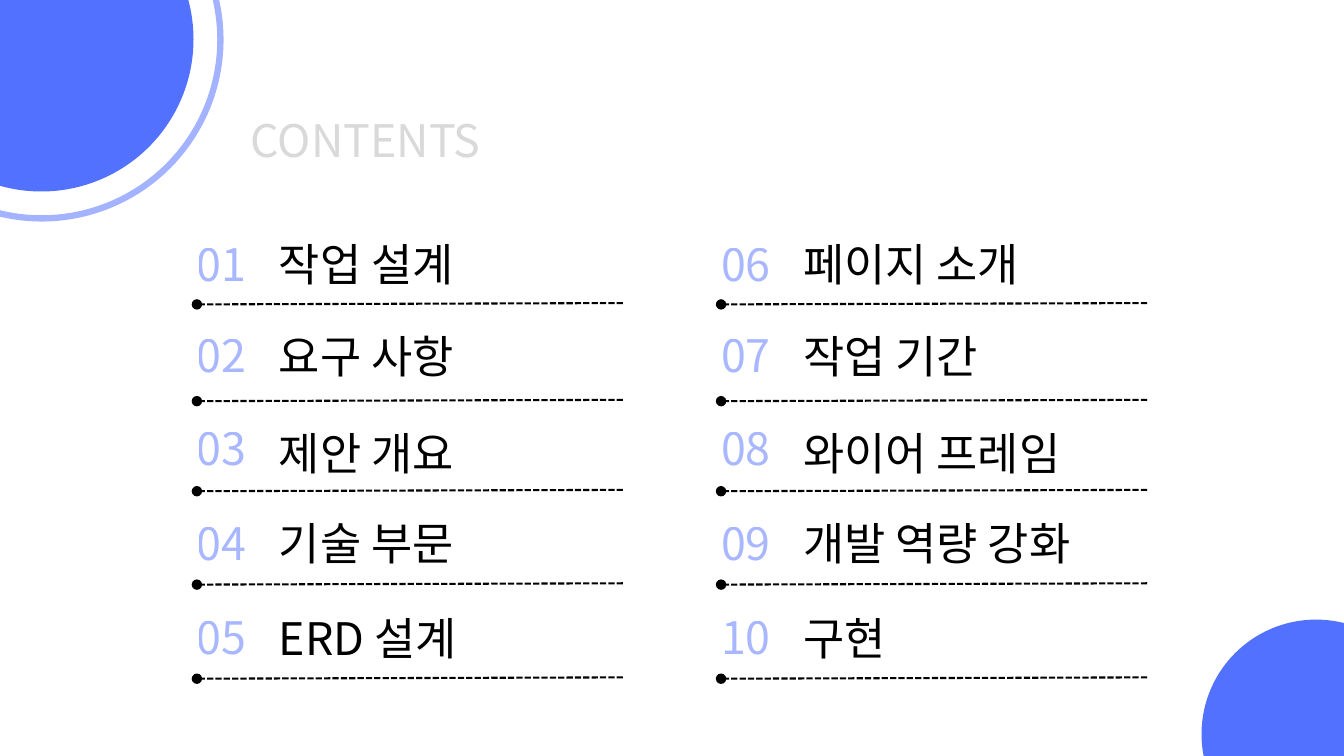
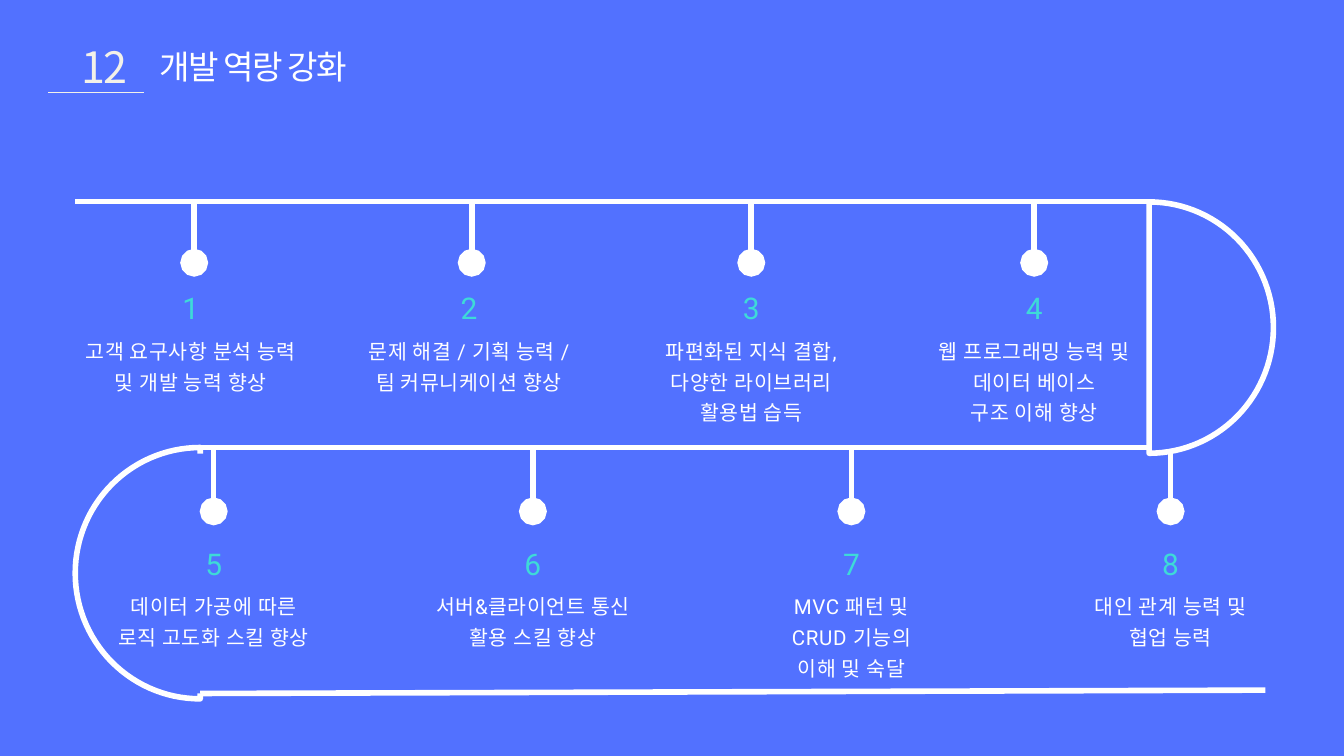
"""Builds the contents slide and the skill roadmap slide."""
from itertools import cycle
from math import cos, pi, sin

from lxml.etree import SubElement
from pptx import Presentation
from pptx.dml.color import RGBColor
from pptx.enum.dml import MSO_LINE
from pptx.enum.shapes import MSO_CONNECTOR, MSO_SHAPE
from pptx.enum.text import MSO_ANCHOR, MSO_AUTO_SIZE, PP_ALIGN
from pptx.oxml.ns import qn
from pptx.util import Inches, Pt

COLORS = {
    "blue": "5271FF",
    "white": "FFFFFF",
    "black": "000000",
    "gray": "D9D9D9",
    "cream": "F3F1E9",
    "mint": "3EDAD8",
}
RGB = {name: RGBColor.from_string(value) for name, value in COLORS.items()}
NOTO, CALIBRI, ROBOTO = "Noto Sans CJK KR", "Calibri", "Roboto"


def write(slide, text, *, at, size, leading, color, fonts, tracking=0,
          align=PP_ALIGN.LEFT, alpha=None, holder=None):
    box = holder or slide.shapes.add_textbox(0, 0, 0, 0)
    box.left, box.top, box.width, box.height = map(Inches, at)
    frame = box.text_frame
    frame.word_wrap = True
    frame.auto_size = MSO_AUTO_SIZE.SHAPE_TO_FIT_TEXT
    frame.vertical_anchor = MSO_ANCHOR.TOP
    frame.margin_left = frame.margin_right = 0
    frame.margin_top = frame.margin_bottom = 0
    frame.text = text
    for paragraph, font in zip(frame.paragraphs, cycle(fonts)):
        paragraph.alignment = align
        paragraph.line_spacing = Pt(leading)
        paragraph.space_before = Pt(0)
        run = paragraph.runs[0]
        run.font.name, run.font.size = font, Pt(size)
        run.font.color.rgb = RGB[color]
        properties = run._r.get_or_add_rPr()
        if tracking:
            properties.set("spc", str(round(tracking * 100)))
        if alpha:
            tint = properties.find(".//" + qn("a:srgbClr"))
            SubElement(tint, qn("a:alpha"), val=str(alpha * 1000))


def rule(slide, x1, y1, x2, y2, *, color, width, dash=None, dot=False):
    line = slide.shapes.add_connector(
        MSO_CONNECTOR.STRAIGHT, *map(Inches, (x1, y1, x2, y2)))
    line.line.color.rgb = RGB[color]
    line.line.width = Pt(width)
    if dash:
        line.line.dash_style = dash
    properties = line._element.spPr
    if dot:
        SubElement(properties.find(qn("a:ln")), qn("a:tailEnd"),
                   type="oval", w="lg", len="lg")
    SubElement(properties, qn("a:effectLst"))


deck = Presentation()
deck.slide_width, deck.slide_height = Inches(20), Inches(11.25)
title_only = deck.slide_layouts[5]

contents = deck.slides.add_slide(title_only)
heading = {"size": 48, "leading": 67.2}
write(contents, "CONTENTS", at=(3.73, 1.54, 6.27, 0.91), color="gray",
      fonts=[NOTO], holder=contents.shapes.title, **heading)

for left, top, diameter in [(17.88, 9.22, 3.41), (-1.65, -1.68, 4.53)]:
    disc = contents.shapes.add_shape(
        MSO_SHAPE.OVAL, *map(Inches, (left, top, diameter, diameter)))
    disc.shadow.inherit = False
    disc.fill.solid()
    disc.fill.fore_color.rgb = RGB["blue"]
    disc.line.fill.background()

ring = contents.shapes.add_shape(
    MSO_SHAPE.OVAL, *map(Inches, (-2.04, -2.07, 5.32, 5.32)))
ring.shadow.inherit = False
ring.fill.background()
ring.line.color.rgb = RGB["blue"]
ring.line.width = Pt(6.75)
ring_color = ring._element.spPr.find(qn("a:ln")).find(".//" + qn("a:srgbClr"))
SubElement(ring_color, qn("a:alpha"), val="52000")

chapters = ["작업 설계", "요구 사항", "제안 개요", "기술 부문", "ERD 설계",
            "페이지 소개", "작업 기간", "와이어 프레임", "개발 역량 강화", "구현"]
rows = [(3.39, 3.39, 4.51), (4.75, 4.76, 5.95), (6.13, 6.2, 7.29),
        (7.54, 7.54, 8.68), (8.94, 8.95, 10.08)]
for index, chapter in enumerate(chapters):
    column, row = divmod(index, len(rows))
    left = 2.93 + 7.8 * column
    number_top, name_top, rule_top = rows[row]
    write(contents, f"{index + 1:02}", at=(left, number_top, 1.8, 0.91),
          color="blue", alpha=50, fonts=[NOTO], **heading)
    write(contents, chapter, at=(left + 1.22, name_top, 5.12, 0.91),
          color="black", fonts=[NOTO if "ERD" in chapter else CALIBRI], **heading)
    rule(contents, left + 6.34, rule_top, left, rule_top + 0.02,
         color="black", width=2.25, dash=MSO_LINE.SQUARE_DOT, dot=True)

skills = deck.slides.add_slide(title_only)
skills.background.fill.solid()
skills.background.fill.fore_color.rgb = RGB["blue"]
write(skills, "개발 역랑 강화", at=(2.37, 0.67, 5.55, 1.23), size=35.5,
      leading=44.4, color="white", fonts=[CALIBRI], tracking=-1.6,
      holder=skills.shapes.title)
write(skills, "12", at=(1.22, 0.57, 1.15, 0.8), size=46.2, leading=57.8,
      color="cream", fonts=[NOTO], tracking=-2.1)
rule(skills, 0.72, 1.38, 2.14, 1.38, color="cream", width=1.5)

bends = [(17.1, 4.875, 1.85, (14.14, 3.09, 2.9, 3.58)),
         (2.98, 8.53, -1.86, (2.89, 6.75, 1.25, 3.57))]
for center_x, center_y, reach, cover_at in bends:
    angles = [pi * step / 60 - pi / 2 for step in range(61)]
    points = [(Inches(center_x + reach * cos(a)), Inches(center_y + 1.87 * sin(a)))
              for a in angles]
    outline = skills.shapes.build_freeform(*points[0])
    outline.add_line_segments(points[1:], close=True)
    bend = outline.convert_to_shape()
    bend.shadow.inherit = False
    bend.fill.background()
    bend.line.color.rgb = RGB["white"]
    bend.line.width = Pt(6)
    cover = skills.shapes.add_shape(MSO_SHAPE.RECTANGLE, *map(Inches, cover_at))
    cover.shadow.inherit = False
    cover.fill.solid()
    cover.fill.fore_color.rgb = RGB["blue"]
    cover.line.fill.background()

track = {"color": "white", "width": 6}
for ends in [(1.12, 3, 17.11, 3), (2.98, 6.66, 17.11, 6.66),
             (2.98, 10.32, 18.83, 10.27)]:
    rule(skills, *ends, **track)

steps = [
    (2.89, 2.84, [CALIBRI], "고객 요구사항 분석 능력\n및 개발 능력 향상"),
    (7.02, 6.98, [ROBOTO, CALIBRI], "문제 해결 / 기획 능력 /\n팀 커뮤니케이션 향상"),
    (11.18, 11.18, [ROBOTO, CALIBRI],
     "파편화된 지식 결합,\n다양한 라이브러리\n활용법 습득"),
    (15.39, 15.39, [CALIBRI], "웹 프로그래밍 능력 및\n데이터 베이스\n구조 이해 향상"),
    (3.18, 3.18, [CALIBRI], "데이터 가공에 따른\n로직 고도화 스킬 향상"),
    (7.93, 7.93, [ROBOTO, CALIBRI], "서버&클라이언트 통신\n활용 스킬 향상"),
    (12.67, 12.67, [ROBOTO, ROBOTO, CALIBRI], "MVC 패턴 및\nCRUD 기능의\n이해 및 숙달"),
    (17.42, 17.42, [CALIBRI], "대인 관계 능력 및\n협업 능력"),
]
for number, (stem, center, fonts, skill) in enumerate(steps, 1):
    stem_top, number_top = (3, 4.27) if number <= 4 else (6.7, 8.07)
    left = center - 1.72
    rule(skills, stem, stem_top, stem, stem_top + 0.91, dot=True, **track)
    write(skills, str(number), at=(left, number_top, 3.44, 0.55), size=32,
          leading=41.6, color="mint", fonts=[ROBOTO], tracking=1.6,
          align=PP_ALIGN.CENTER)
    write(skills, skill, at=(left, number_top + 0.68, 3.44, 0.45 * len(skill.split("\n"))),
          size=22, leading=33, color="white", fonts=fonts, tracking=0.7,
          align=PP_ALIGN.CENTER)

deck.save("out.pptx")
